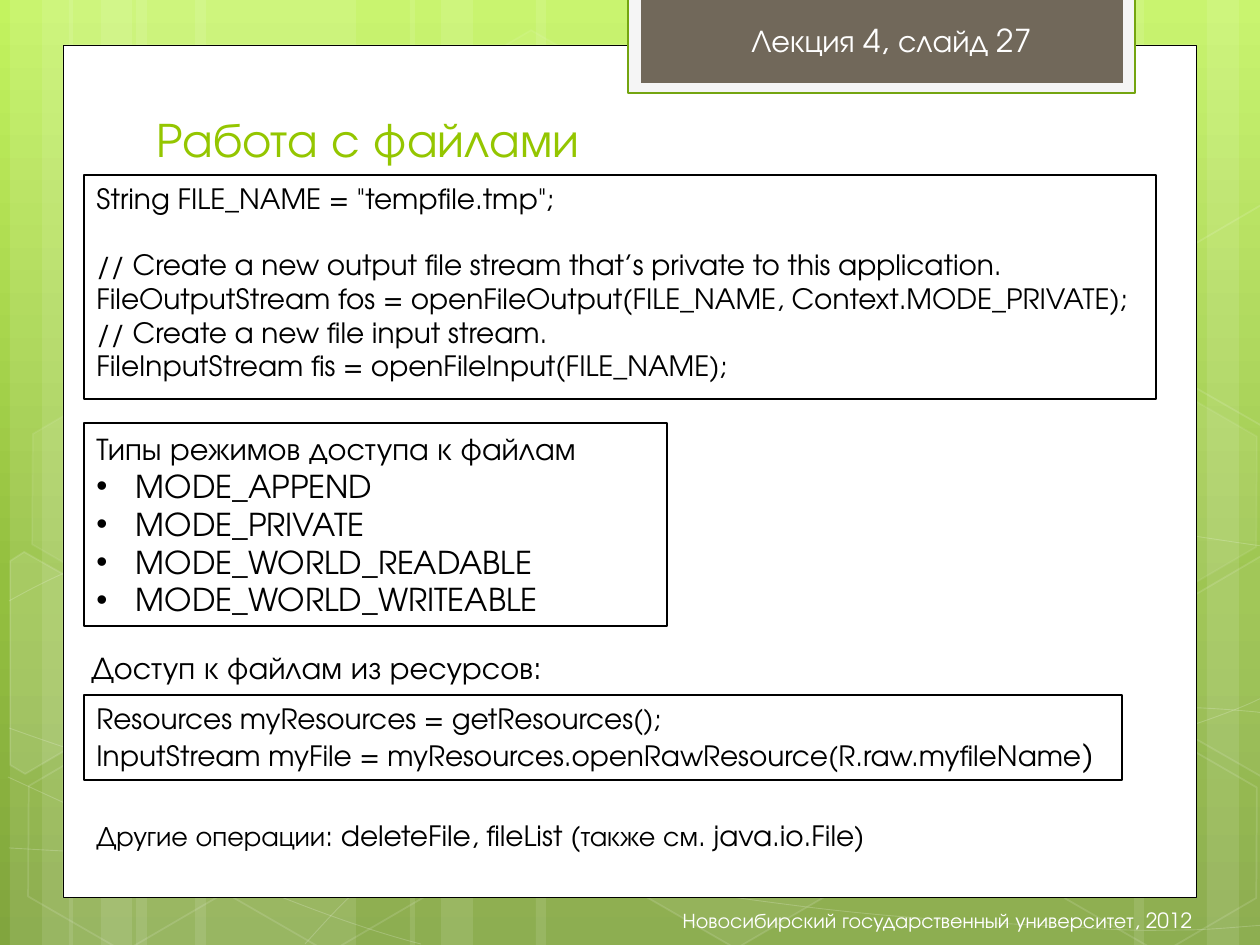
from copy import deepcopy
from dataclasses import dataclass
from math import cos, radians, sin

from lxml import etree
from pptx import Presentation
from pptx import util as u
from pptx.dml.color import RGBColor
from pptx.enum import shapes, text
from pptx.oxml.ns import qn

SCALE = 914400 / 126
KIND = shapes.MSO_SHAPE
ALIGN = text.PP_ALIGN
ANCHOR = text.MSO_ANCHOR
TILT = 30


def px(n):
    return u.Emu(round(n * SCALE))


@dataclass(frozen=True)
class Theme:
    font: str = "TeX Gyre Adventor"
    white: str = "FFFFFF"
    black: str = "000000"
    green: str = "94C600"
    edge: str = "74A510"
    pale: str = "F5F5F5"
    brown: str = "71685A"
    back: tuple = ((0, "C3F35F"), (0.62, "93BF3F"), (1, "81A53E"))
    head: int = 28
    body: int = 18
    code: int = 16
    foot: int = 12


def fade(node, alpha):
    """Make every colour below node opaque to alpha percent."""
    for color in node.iter(qn("a:srgbClr")):
        etree.SubElement(color, qn("a:alpha"), val=str(alpha * 1000))


def mark(para, indent):
    """Give the paragraph a round bullet with a hanging indent."""
    props = para._p.get_or_add_pPr()
    props.set("marL", str(indent))
    props.set("indent", str(-indent))
    etree.SubElement(props, qn("a:buFont"), typeface="Arial")
    etree.SubElement(props, qn("a:buChar"), char="•")


def turn(points, mid, angle):
    """Rotate points clockwise about mid."""
    c, s = cos(radians(angle)), sin(radians(angle))
    return [(mid[0] + (x - mid[0]) * c - (y - mid[1]) * s,
             mid[1] + (x - mid[0]) * s + (y - mid[1]) * c) for x, y in points]


def write(frame, lines, *, font, size, color, align=ALIGN.LEFT,
          anchor=ANCHOR.TOP, bullets=(), gaps=None):
    """Fill the frame; a line is a string or a list of (string, size)."""
    frame.word_wrap = True
    frame.auto_size = text.MSO_AUTO_SIZE.NONE
    frame.vertical_anchor = anchor
    for i, line in enumerate(lines):
        para = frame.paragraphs[0] if i == 0 else frame.add_paragraph()
        para.alignment = align
        para.space_before = u.Pt((gaps or {}).get(i, 0))
        if i in bullets:
            mark(para, u.Pt(22.5))
        runs = [(line, size)] if isinstance(line, str) else line
        for words, points in runs:
            run = para.add_run()
            run.text = words
            run.font.name = font
            run.font.size = u.Pt(points)
            run.font.color.rgb = RGBColor.from_string(color)


class Deck:
    def __init__(self, theme):
        self.theme = theme
        self.prs = Presentation()
        self.prs.slide_width, self.prs.slide_height = px(1260), px(945)
        self.slide = self.prs.slides.add_slide(self.prs.slide_layouts[5])

    def back(self):
        fill = self.slide.background.fill
        fill.gradient()
        fill.gradient_angle = 270
        stops = self.slide.element.find(".//" + qn("a:gsLst"))
        stops.insert(1, deepcopy(stops[0]))
        for stop, (place, color) in zip(fill.gradient_stops, self.theme.back):
            stop.position = place
            stop.color.rgb = RGBColor.from_string(color)

    def paint(self, shape, fill=None, line=None, width=1, clear=None, faint=None):
        """Set fill and line; clear and faint are their opacities in percent."""
        shape.shadow.inherit = False
        props = shape.element.spPr
        if fill:
            shape.fill.solid()
            shape.fill.fore_color.rgb = RGBColor.from_string(fill)
            if clear:
                fade(props.find(qn("a:solidFill")), clear)
        else:
            shape.fill.background()
        if line:
            shape.line.color.rgb = RGBColor.from_string(line)
            shape.line.width = u.Pt(width)
            if faint:
                fade(props.find(qn("a:ln")), faint)
        else:
            shape.line.fill.background()

    def rect(self, box, **look):
        shape = self.slide.shapes.add_shape(KIND.RECTANGLE, *map(px, box))
        self.paint(shape, **look)
        return shape

    def hexa(self, left, top, clear, faint):
        shape = self.slide.shapes.add_shape(
            KIND.HEXAGON, *map(px, (left, top, 220, 192)))
        shape.adjustments[0] = 0.285
        shape.rotation = TILT
        white = self.theme.white
        self.paint(shape, white if clear else None, white, 1, clear, faint)

    def free(self, points, close=False, **look):
        start, *rest = [(px(x), px(y)) for x, y in points]
        pen = self.slide.shapes.build_freeform(*start, scale=1.0)
        pen.add_line_segments(rest, close=close)
        shape = pen.convert_to_shape()
        self.paint(shape, line=self.theme.white, **look)
        return shape

    def cut(self, points, mid, **look):
        """Draw a tilted outline whose frame is centred on mid."""
        shape = self.free(turn(points, mid, -TILT), True, faint=12, **look)
        shape.rotation = TILT

    def curve(self, knots):
        """Draw joined cubic curves: a start, then two handles and an end each."""
        shape = self.free(knots, width=0.5, faint=20)
        steps = list(shape.element.iter(qn("a:lnTo")))
        for i in range(0, len(steps), 3):
            bend = etree.Element(qn("a:cubicBezTo"))
            steps[i].addprevious(bend)
            for step in steps[i:i + 3]:
                bend.append(step[0])
                step.getparent().remove(step)

    def title(self, words, box):
        shape = self.slide.shapes.title
        shape.element.getparent().append(shape.element)
        shape.left, shape.top, shape.width, shape.height = map(px, box)
        write(shape.text_frame, [words], font=self.theme.font,
              size=self.theme.head, color=self.theme.green, anchor=ANCHOR.BOTTOM)

    def label(self, words, box, size, color, **form):
        shape = self.slide.shapes.add_textbox(*map(px, box))
        write(shape.text_frame, [words], font=self.theme.font, size=size,
              color=color, **form)

    def panel(self, lines, box, size, **form):
        shape = self.rect(box, fill=self.theme.white, line=self.theme.black,
                          width=1.25)
        write(shape.text_frame, lines, font=self.theme.font, size=size,
              color=self.theme.black, **form)


STRIPES = [(136, 220), (10, 63), (42, 105), (195, 220), (69, 63), (101, 105),
           (924, 220), (1207, 63), (1134, 105), (536, 388), (410, 63), (441, 105)]
CURVES = [
    [(9, 848), (77, 852), (145, 856), (239, 854), (334, 853), (451, 851),
     (577, 838), (703, 825), (882, 801), (998, 777), (1113, 753), (1231, 716),
     (1269, 694)],
    [(9, 601), (45, 581), (82, 562), (152, 543), (224, 524), (327, 496),
     (437, 488), (549, 479), (685, 478), (824, 488), (963, 498), (1193, 537),
     (1269, 547)],
    [(8, 777), (160, 847), (311, 916), (421, 944)],
    [(9, 728), (48, 742), (88, 756), (161, 776), (234, 795), (344, 827),
     (450, 848), (554, 869), (687, 892), (791, 905), (896, 919), (1008, 924),
     (1075, 927), (1140, 932), (1158, 930), (1191, 930), (1223, 929),
     (1246, 926), (1269, 925)],
    [(305, 944), (328, 919), (350, 893), (381, 871), (412, 848), (454, 823),
     (489, 805), (524, 788), (546, 780), (592, 767), (638, 755), (722, 737),
     (766, 728), (811, 719), (818, 719), (857, 717), (896, 713), (958, 709),
     (1000, 708), (1045, 707), (1116, 708), (1116, 708), (1144, 708),
     (1173, 708), (1201, 708), (1223, 709), (1245, 711), (1256, 712),
     (1260, 713), (1264, 712), (1268, 713)]]
HEXAS = [(421, 45, 4, 8), (626, 742, 6, 12), (14, 745, None, 12),
         (18, 393, 7, 8), (219, 746, None, 12), (949, 571, 10, 12),
         (1051, 747, None, 12), (1051, 396, 7, 8)]
LEFT = [(10, 561), (24, 552), (121, 607), (120, 718), (25, 774), (10, 765)]
RIGHT = [(1167, 611), (1261, 556), (1271, 562), (1271, 772), (1263, 777),
         (1167, 722)]


def main():
    theme = Theme()
    deck = Deck(theme)
    deck.back()
    for left, width in STRIPES:
        deck.rect((left, 0, width, 945), fill=theme.white, clear=10)
    for knots in CURVES:
        deck.curve(knots)
    for spot in HEXAS:
        deck.hexa(*spot)
    deck.cut(LEFT, (45, 674), fill=theme.white, clear=10)
    deck.cut(RIGHT, (1241, 655), fill=theme.white, clear=4)
    deck.cut([(x, y - 351) for x, y in RIGHT], (1241, 304))

    deck.rect((63, 45, 1134, 853), fill=theme.white, line=theme.black, width=0.5)
    deck.rect((628, -3, 507, 96), fill=theme.pale, line=theme.edge, width=1.25)
    deck.rect((641, -3, 482, 86), fill=theme.brown)
    deck.title("Работа с файлами", (144, 66, 968, 108))
    deck.label("Новосибирский государственный университет, 2012",
               (590, 895, 615, 50), theme.foot, theme.white,
               align=ALIGN.RIGHT, anchor=ANCHOR.MIDDLE)
    deck.label("Лекция 4, слайд 27", (739, 15, 326, 50), theme.body, theme.white)

    deck.panel(['String FILE_NAME = "tempfile.tmp";',
                "// Create a new output file stream that’s private to this application.",
                "FileOutputStream fos = openFileOutput(FILE_NAME, Context.MODE_PRIVATE);",
                "// Create a new file input stream.",
                "FileInputStream fis = openFileInput(FILE_NAME);"],
               (84, 175, 1072, 224), theme.code, gaps={1: 19})
    deck.panel(["Типы режимов доступа к файлам", "MODE_APPEND", "MODE_PRIVATE",
                "MODE_WORLD_READABLE", "MODE_WORLD_WRITEABLE"],
               (84, 423, 583, 203), theme.body, bullets=range(1, 5))
    deck.panel(["Resources myResources = getResources();",
                [("InputStream myFile = myResources.openRawResource(R.raw.myfileName",
                  theme.code), (")", theme.body)]],
               (84, 695, 1038, 85), theme.code)
    deck.label("Доступ к файлам из ресурсов:", (79, 642, 533, 50),
               theme.body, theme.black)
    deck.label("Другие операции: deleteFile, fileList (также см. java.io.File)",
               (84, 812, 846, 47), theme.code, theme.black)
    deck.prs.save("out.pptx")


if __name__ == "__main__":
    main()
